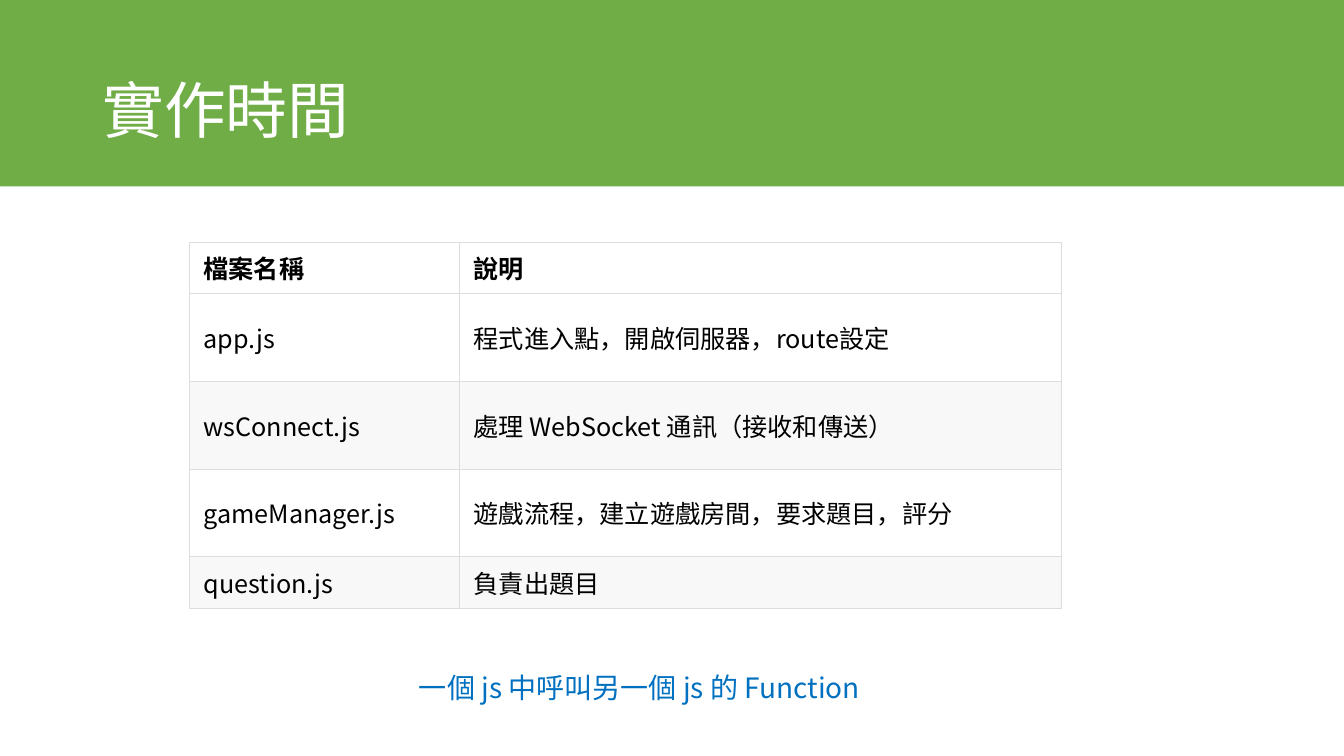
from lxml import etree
from pptx import Presentation
from pptx.dml.color import RGBColor
from pptx.enum.shapes import MSO_SHAPE
from pptx.enum.text import MSO_ANCHOR, MSO_AUTO_SIZE, PP_ALIGN
from pptx.oxml.ns import qn
from pptx.util import Cm, Pt

RECT = MSO_SHAPE.RECTANGLE
MIDDLE = MSO_ANCHOR.MIDDLE
NO_FIT = MSO_AUTO_SIZE.NONE
LEFT = PP_ALIGN.LEFT
TITLE_ONLY = 5

FILES = [
    ("檔案名稱", "說明"),
    ("app.js", "程式進入點，開啟伺服器，route設定"),
    ("wsConnect.js", "處理 WebSocket 通訊（接收和傳送）"),
    ("gameManager.js", "遊戲流程，建立遊戲房間，要求題目，評分"),
    ("question.js", "負責出題目"),
]


def rgb(value):
    return RGBColor.from_string(value)


class Deck:
    green, white, black = "70AD47", "FFFFFF", "000000"
    stripe, border, blue = "F8F8F8", "DDDDDD", "0070C0"
    title_font, body_font = "Noto Sans CJK TC", "Noto Sans CJK SC"

    def __init__(self):
        self.prs = Presentation()
        self.prs.slide_width, self.prs.slide_height = Cm(33.87), Cm(19.05)
        self.s = self.prs.slides.add_slide(self.prs.slide_layouts[TITLE_ONLY])

    def set_text(self, tf, text, font, size, color, bold=False):
        p = tf.paragraphs[0]
        p.text = text
        p.alignment = LEFT
        p.font.name, p.font.size, p.font.bold = font, Pt(size), bold
        p.font.color.rgb = rgb(color)
        props = p._p.pPr.find(qn("a:defRPr"))
        etree.SubElement(props, qn("a:ea")).set("typeface", font)
        return p

    def banner(self, height):
        sp = self.s.shapes.add_shape(RECT, 0, 0, self.prs.slide_width, Cm(height))
        sp.shadow.inherit = False
        sp.fill.solid()
        sp.fill.fore_color.rgb = rgb(self.green)
        sp.line.fill.background()
        self.s.shapes.title._element.addprevious(sp._element)

    def title(self, text, x, y, w, h):
        sp = self.s.shapes.title
        sp.left, sp.top, sp.width, sp.height = Cm(x), Cm(y), Cm(w), Cm(h)
        tf = sp.text_frame
        tf.auto_size, tf.vertical_anchor = NO_FIT, MIDDLE
        p = self.set_text(tf, text, self.title_font, 44, self.white)
        p.line_spacing = 0.9

    def note(self, text, x, y, w, h):
        tf = self.s.shapes.add_textbox(Cm(x), Cm(y), Cm(w), Cm(h)).text_frame
        tf.word_wrap = True
        self.set_text(tf, text, self.body_font, 20, self.blue)

    def outline(self, cell):
        props = cell._tc.get_or_add_tcPr()
        for i, side in enumerate(("lnL", "lnR", "lnT", "lnB")):
            ln = etree.Element(qn(f"a:{side}"), w=str(Pt(0.75)))
            fill = etree.SubElement(ln, qn("a:solidFill"))
            etree.SubElement(fill, qn("a:srgbClr")).set("val", self.border)
            props.insert(i, ln)

    def table(self, rows, x, y, widths, heights):
        frame = self.s.shapes.add_table(len(rows), len(widths), Cm(x), Cm(y),
                                        Cm(sum(widths)), Cm(sum(heights)))
        table = frame.table
        for column, width in zip(table.columns, widths):
            column.width = Cm(width)
        for i, (row, height) in enumerate(zip(rows, heights)):
            table.rows[i].height = Cm(height)
            striped = i > 0 and i % 2 == 0
            for j, text in enumerate(row):
                cell = table.cell(i, j)
                cell.vertical_anchor = MIDDLE
                cell.margin_left = cell.margin_right = Cm(0.36)
                cell.margin_top = cell.margin_bottom = Cm(0.15)
                cell.fill.solid()
                cell.fill.fore_color.rgb = rgb(self.stripe if striped else self.white)
                self.outline(cell)
                self.set_text(cell.text_frame, text, self.body_font, 18,
                              self.black, bold=i == 0)


def main():
    deck = Deck()
    deck.banner(4.7)
    deck.title("實作時間", 2.33, 1.01, 29.21, 3.68)
    deck.table(FILES, 4.77, 6.1, (6.81, 15.16), (1.3, 2.21, 2.21, 2.21, 1.3))
    deck.note("一個 js 中呼叫另一個 js 的 Function", 10.31, 16.76, 11.73, 1.12)
    deck.prs.save("out.pptx")


if __name__ == "__main__":
    main()
